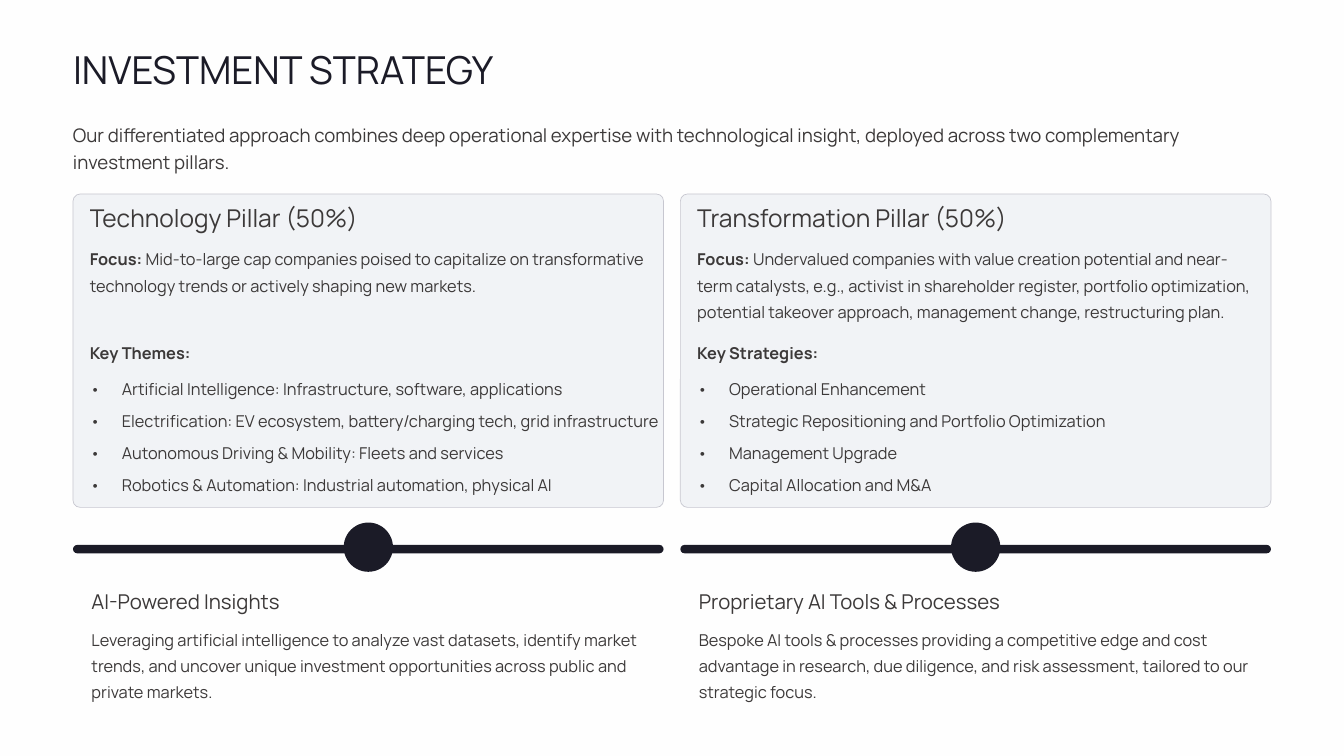
from lxml import etree
from pptx import Presentation
from pptx.dml.color import RGBColor
from pptx.enum import shapes, text
from pptx.oxml import ns
from pptx.util import Pt

TITLE = "INVESTMENT STRATEGY"
INTRO = [
    "Our differentiated approach combines deep operational expertise with "
    "technological insight, deployed across two complementary",
    "investment pillars.",
]
PILLARS = [
    {
        "name": "Technology Pillar (50%)",
        "focus": " Mid-to-large cap companies poised to capitalize on transformative "
                 "technology trends or actively shaping new markets.",
        "list_name": "Key Themes:",
        "items": [
            "Artificial Intelligence: Infrastructure, software, applications",
            "Electrification: EV ecosystem, battery/charging tech, grid infrastructure",
            "Autonomous Driving & Mobility: Fleets and services",
            "Robotics & Automation: Industrial automation, physical AI",
        ],
        "tool": "AI-Powered Insights",
        "tool_text": "Leveraging artificial intelligence to analyze vast datasets, identify "
                     "market trends, and uncover unique investment opportunities across "
                     "public and private markets.",
    },
    {
        "name": "Transformation Pillar (50%)",
        "focus": " Undervalued companies with value creation potential and near-term "
                 "catalysts, e.g., activist in shareholder register, portfolio optimization, "
                 "potential takeover approach, management change, restructuring plan.",
        "list_name": "Key Strategies:",
        "items": [
            "Operational Enhancement",
            "Strategic Repositioning and Portfolio Optimization",
            "Management Upgrade",
            "Capital Allocation and M&A",
        ],
        "tool": "Proprietary AI Tools & Processes",
        "tool_text": "Bespoke AI tools & processes providing a competitive edge and cost "
                     "advantage in research, due diligence, and risk assessment, tailored "
                     "to our strategic focus.",
    },
]

COLORS = {"back": "FEFEFE", "dark": "1B1B27", "body": "3C3939",
          "card": "D6DCE5", "edge": "C7C7D0"}
FONT = "Manrope"
LEFT, CARD_W, GAP = 62.6, 506.2, 14.4
CARD_TOP, CARD_H = 166.3, 268.6
PAD, TOOL_PAD = 14.4, 15.8
TRACK_H, KNOB = 7.2, 42.2
INDENT = 27.4

STYLES = {
    "title": {"size": 33, "color": "dark", "line": 34},
    "intro": {"size": 16, "line": 22.5},
    "heading": {"size": 21, "line": 26},
    "tool": {"size": 17.5, "line": 21.5},
    "body": {"size": 14, "line": 22.5},
    "label": {"size": 14, "line": 22.5, "bold": True},
}


def rgb(name):
    return RGBColor.from_string(COLORS[name])


def write(tf, paragraphs, style, wrap=False):
    """Fill a frame; each paragraph is a list of (text, style name) or a string."""
    frame = {"word_wrap": wrap, "auto_size": text.MSO_AUTO_SIZE.NONE,
             "vertical_anchor": text.MSO_ANCHOR.TOP, "margin_left": 0,
             "margin_top": 0, "margin_right": 0, "margin_bottom": 0}
    for name, value in frame.items():
        setattr(tf, name, value)
    for i, runs in enumerate(paragraphs):
        p = tf.paragraphs[0] if i == 0 else tf.add_paragraph()
        p.alignment = text.PP_ALIGN.LEFT
        p.line_spacing = Pt(STYLES[style]["line"])
        for words, look in [(runs, style)] if isinstance(runs, str) else runs:
            r = p.add_run()
            r.text = words
            fmt = STYLES[look]
            values = {"name": FONT, "size": Pt(fmt["size"]), "bold": fmt.get("bold", False)}
            for name, value in values.items():
                setattr(r.font, name, value)
            r.font.color.rgb = rgb(fmt.get("color", "body"))
    return tf


def add_text(box, paragraphs, style, wrap=False):
    sp = slide.shapes.add_textbox(*map(Pt, box))
    return write(sp.text_frame, paragraphs, style, wrap)


def add_bullets(tf):
    for i, p in enumerate(tf.paragraphs):
        p.space_before = Pt(5 if i else 0)
        pPr = p._p.get_or_add_pPr()
        pPr.set("marL", str(Pt(INDENT)))
        pPr.set("indent", str(-Pt(INDENT)))
        etree.SubElement(pPr, ns.qn("a:buFont")).set("typeface", FONT)
        etree.SubElement(pPr, ns.qn("a:buChar")).set("char", "•")


def add_block(kind, box, fill, radius=None, alpha=None, edge=None):
    sp = slide.shapes.add_shape(kind, *map(Pt, box))
    sp.shadow.inherit = False
    sp.fill.solid()
    sp.fill.fore_color.rgb = rgb(fill)
    if radius is not None:
        sp.adjustments[0] = radius
    if alpha is not None:
        color = sp._element.spPr.find(".//" + ns.qn("a:srgbClr"))
        etree.SubElement(color, ns.qn("a:alpha")).set("val", str(alpha * 1000))
    if edge:
        sp.line.color.rgb = rgb(edge)
        sp.line.width = Pt(0.6)
    else:
        sp.line.fill.background()


def add_pillar(pillar, x):
    rounded = shapes.MSO_SHAPE.ROUNDED_RECTANGLE
    inner, inner_w = x + PAD, CARD_W - 2 * PAD
    add_block(rounded, (x, CARD_TOP, CARD_W, CARD_H), "card", 0.023, 30, "edge")
    add_text((inner, 173.5, inner_w, 26.6), [pillar["name"]], "heading")
    focus = [("Focus:", "label"), (pillar["focus"], "body")]
    add_text((inner, 208.1, inner_w, 67.5), [focus], "body", wrap=True)
    add_text((inner, 288.3, inner_w, 22.5), [pillar["list_name"]], "label")
    add_bullets(add_text((inner, 319.2, inner_w, 105), pillar["items"], "body"))

    add_block(rounded, (x, 467.1, CARD_W, TRACK_H), "dark", 0.5)
    add_block(shapes.MSO_SHAPE.OVAL, (x + (CARD_W - KNOB) / 2, 447.9, KNOB, KNOB), "dark")
    inner, inner_w = x + TOOL_PAD, CARD_W - 2 * TOOL_PAD
    add_text((inner, 504, inner_w, 22.3), [pillar["tool"]], "tool")
    add_text((inner, 534.4, inner_w, 67.7), [pillar["tool_text"]], "body", wrap=True)


prs = Presentation()
prs.slide_width, prs.slide_height = Pt(1152), Pt(648)
slide = prs.slides.add_slide(prs.slide_layouts[5])
slide.background.fill.solid()
slide.background.fill.fore_color.rgb = rgb("back")

title = slide.shapes.title
title.left, title.top, title.width, title.height = map(Pt, (LEFT, 45.4, 408.2, 33.8))
write(title.text_frame, [TITLE], "title")

add_text((LEFT, 103.2, 1026.7, 45), INTRO, "intro")
for col, pillar in enumerate(PILLARS):
    add_pillar(pillar, LEFT + col * (CARD_W + GAP))

prs.save("out.pptx")
